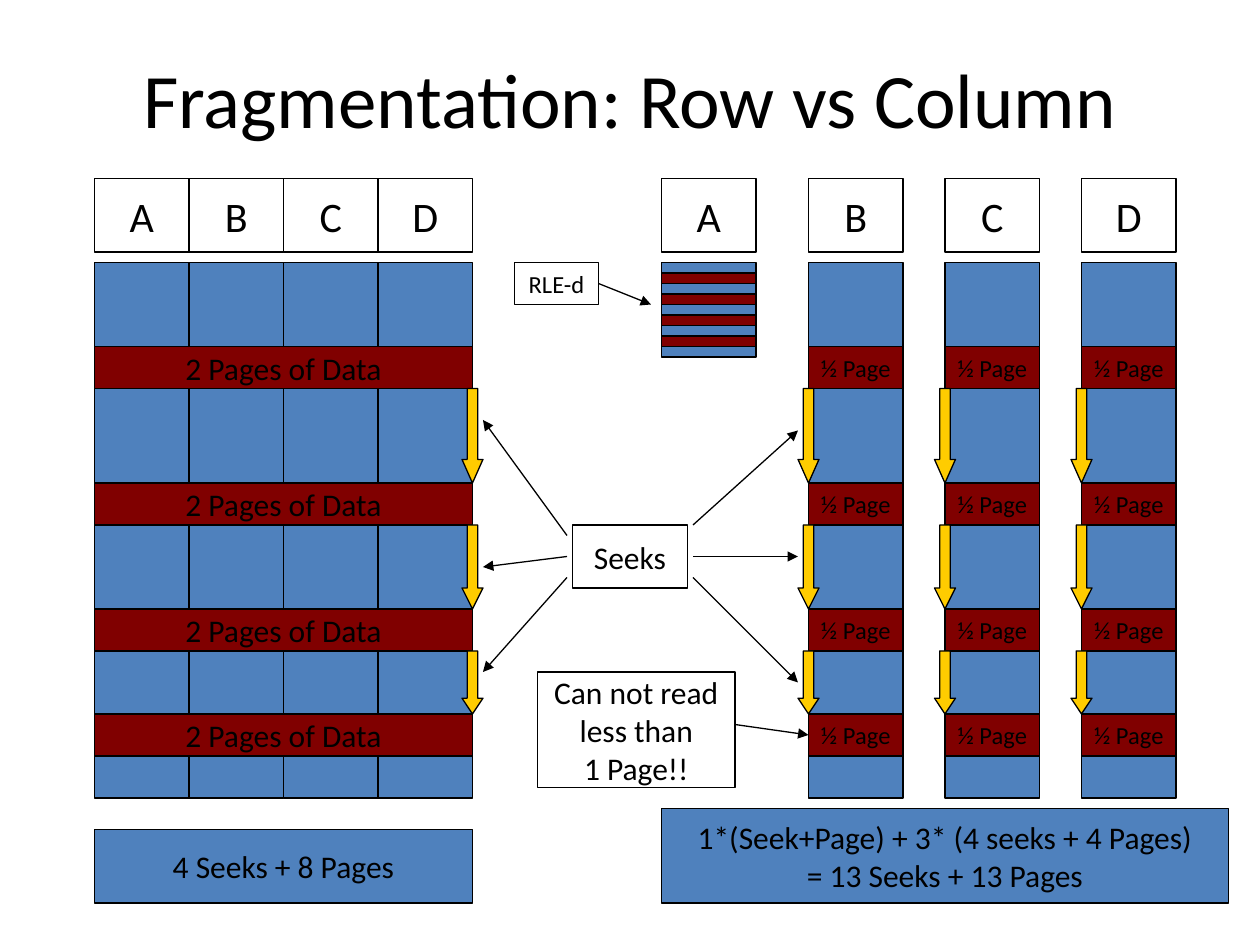
from itertools import pairwise

from lxml import etree
from pptx import Presentation
from pptx.dml.color import RGBColor
from pptx.enum.shapes import MSO_CONNECTOR, MSO_SHAPE
from pptx.enum.text import MSO_ANCHOR, PP_ALIGN
from pptx.oxml.ns import qn
from pptx.util import Pt

EMU_PER_PX = 7620
PAGE_WIDTH, PAGE_HEIGHT = 1200, 900
FONT = "Calibri"
BLACK = RGBColor(0x00, 0x00, 0x00)
WHITE = RGBColor(0xFF, 0xFF, 0xFF)
BLUE = RGBColor(0x4F, 0x81, 0xBD)
MAROON = RGBColor(0x80, 0x00, 0x00)
GOLD = RGBColor(0xFF, 0xCC, 0x00)
RECTANGLE, DOWN_ARROW = MSO_SHAPE.RECTANGLE, MSO_SHAPE.DOWN_ARROW
STRAIGHT = MSO_CONNECTOR.STRAIGHT
CENTER, MIDDLE = PP_ALIGN.CENTER, MSO_ANCHOR.MIDDLE
LEFT_SIDE, RIGHT_SIDE = 1, 3

COLUMN_WIDTH = 90
COLUMN_TOP, COLUMN_HEIGHT = 250, 510
HEADER_TOP, HEADER_HEIGHT = 170, 70
BAND_TOPS, BAND_HEIGHT = (330, 460, 580, 680), 40
SEEK_WIDTH = 20
ROW_STORE_LEFT = 90
ROW_STORE_WIDTH = 4 * COLUMN_WIDTH
ROW_STORE_RIGHT = ROW_STORE_LEFT + ROW_STORE_WIDTH
RLE_LEFT, RLE_HEIGHT = 630, 90
STRIPE_HEIGHT = 10
COLUMN_STORE = {"B": 770, "C": 900, "D": 1030}
SEEK_POINTERS = (
    (540, 510, 460, 400),
    (540, 530, 460, 540),
    (540, 550, 460, 640),
    (660, 550, 760, 650),
    (660, 530, 760, 530),
    (660, 500, 760, 410),
)


def px(*lengths):
    """Turn px lengths into EMU."""
    return [length * EMU_PER_PX for length in lengths]


def write(shape, text, size):
    """Set centred black text in a shape."""
    frame = shape.text_frame
    frame.text = text
    frame.word_wrap = False
    frame.vertical_anchor = MIDDLE
    for paragraph in frame.paragraphs:
        paragraph.alignment = CENTER
        for span in paragraph.runs:
            span.font.name = FONT
            span.font.size = Pt(size)
            span.font.color.rgb = BLACK


def add_outlined(shapes, kind, bounds, fill):
    """Add a filled preset shape with a thin black outline."""
    shape = shapes.add_shape(kind, *px(*bounds))
    shape.shadow.inherit = False
    shape.fill.solid()
    shape.fill.fore_color.rgb = fill
    shape.line.color.rgb = BLACK
    shape.line.width = Pt(0.75)
    return shape


def add_box(shapes, bounds, fill, text="", size=18):
    """Add a rectangle, with text if there is any."""
    box = add_outlined(shapes, RECTANGLE, bounds, fill)
    if text:
        write(box, text, size)
    return box


def add_pointer(shapes, *ends):
    """Add a thin black line with an arrowhead at its end."""
    pointer = shapes.add_connector(STRAIGHT, *px(*ends))
    pointer.line.color.rgb = BLACK
    pointer.line.width = Pt(0.75)
    etree.SubElement(pointer.line._get_or_add_ln(), qn("a:tailEnd"), type="triangle")
    etree.SubElement(pointer._element.spPr, qn("a:effectLst"))
    return pointer


def add_title(shapes, text):
    """Add the title across the top."""
    title = shapes.add_textbox(*px(60, 36, 1080, 114))
    write(title, text, 44)


def add_header(shapes, left, name):
    """Add the name box above a column."""
    add_box(shapes, (left, HEADER_TOP, COLUMN_WIDTH, HEADER_HEIGHT), WHITE, name, 24)


def add_column(shapes, left, name):
    """Add a full column with its header."""
    add_box(shapes, (left, COLUMN_TOP, COLUMN_WIDTH, COLUMN_HEIGHT), BLUE)
    add_header(shapes, left, name)


def add_bands(shapes, left, width, text, size):
    """Add the page bands across a store and return them."""
    return [
        add_box(shapes, (left, top, width, BAND_HEIGHT), MAROON, text, size)
        for top in BAND_TOPS
    ]


def add_seeks(shapes, center):
    """Add a seek arrow from each band down to the next."""
    for upper, lower in pairwise(BAND_TOPS):
        top = upper + BAND_HEIGHT
        height = lower - top
        bounds = (center - SEEK_WIDTH // 2, top, SEEK_WIDTH, height)
        arrow = add_outlined(shapes, DOWN_ARROW, bounds, GOLD)
        arrow.adjustments[1] = height / SEEK_WIDTH / 4


def add_row_store(shapes):
    """Add the row store of four adjoining columns."""
    for index, name in enumerate("ABCD"):
        add_column(shapes, ROW_STORE_LEFT + index * COLUMN_WIDTH, name)
    add_bands(shapes, ROW_STORE_LEFT, ROW_STORE_WIDTH, "2 Pages of Data", 18)
    add_seeks(shapes, ROW_STORE_RIGHT)


def add_rle_column(shapes):
    """Add the compressed column with its label."""
    add_header(shapes, RLE_LEFT, "A")
    stripes = shapes.add_group_shape().shapes
    add_box(stripes, (RLE_LEFT, COLUMN_TOP, COLUMN_WIDTH, RLE_HEIGHT), BLUE)
    first = COLUMN_TOP + STRIPE_HEIGHT
    for top in range(first, COLUMN_TOP + RLE_HEIGHT, 2 * STRIPE_HEIGHT):
        add_box(stripes, (RLE_LEFT, top, COLUMN_WIDTH, STRIPE_HEIGHT), MAROON)
    label = add_box(shapes, (490, COLUMN_TOP, 80, 40), WHITE, "RLE-d", 14)
    pointer = add_pointer(shapes, 570, 270, 620, 290)
    pointer.begin_connect(label, RIGHT_SIDE)


def add_column_store(shapes):
    """Add the separate columns and return the bands of each."""
    bands = {}
    for name, left in COLUMN_STORE.items():
        add_column(shapes, left, name)
        bands[name] = add_bands(shapes, left, COLUMN_WIDTH, "½ Page", 14)
        add_seeks(shapes, left)
    return bands


def add_notes(shapes, last_band):
    """Add the remarks between the stores with their pointers."""
    add_box(shapes, (545, 500, 110, 60), WHITE, "Seeks")
    for ends in SEEK_POINTERS:
        add_pointer(shapes, *ends)
    add_box(shapes, (512, 640, 188, 110), WHITE, "Can not read\nless than\n1 Page!!")
    pointer = add_pointer(shapes, 700, 690, 770, 700)
    pointer.end_connect(last_band, LEFT_SIDE)


def add_totals(shapes):
    """Add the cost of each store along the bottom."""
    add_box(shapes, (ROW_STORE_LEFT, 790, ROW_STORE_WIDTH, 70), BLUE, "4 Seeks + 8 Pages")
    cost = "1*(Seek+Page) + 3* (4 seeks + 4 Pages)\n= 13 Seeks + 13 Pages"
    add_box(shapes, (RLE_LEFT, 770, 540, 90), BLUE, cost)


def main():
    """Build the slide and save it."""
    deck = Presentation()
    deck.slide_width, deck.slide_height = px(PAGE_WIDTH, PAGE_HEIGHT)
    page = deck.slides.add_slide(deck.slide_layouts[6])
    shapes = page.shapes
    add_title(shapes, "Fragmentation: Row vs Column")
    add_row_store(shapes)
    add_rle_column(shapes)
    bands = add_column_store(shapes)
    add_notes(shapes, bands["B"][-1])
    add_totals(shapes)
    deck.save("out.pptx")


if __name__ == "__main__":
    main()
